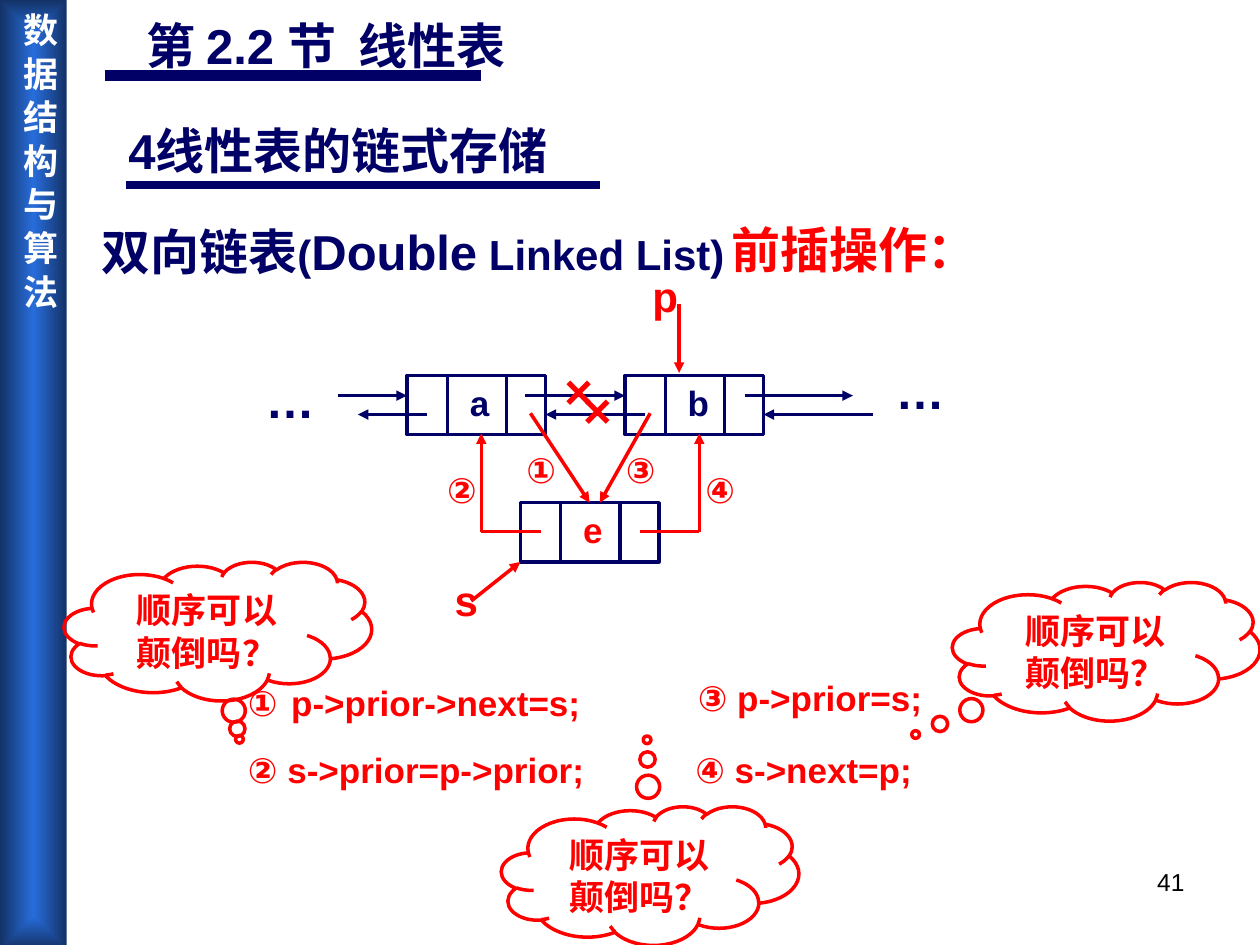
import pptx
import pptx.dml.color
import pptx.enum.shapes
import pptx.enum.text
import pptx.oxml
import pptx.oxml.ns
import pptx.util
from pptx.util import Inches

COLORS = {"navy": "000066", "red": "FF0000", "white": "FFFFFF", "black": "000000",
          "bar": "286DDC", "bar_edge": "133266"}
LATIN, ASIAN = "Arial", "Noto Sans CJK SC"
ALIGN = pptx.enum.text.PP_ALIGN
SHAPES = pptx.enum.shapes.MSO_SHAPE
NODE_WIDTH, NODE_HEIGHT = 1.1, 0.47


def rgb(name):
    """Return the named palette colour."""
    return pptx.dml.color.RGBColor.from_string(COLORS[name])


def element(xml):
    """Parse a DrawingML fragment whose root declares the a namespace."""
    head, rest = xml.split("|", 1)
    return pptx.oxml.parse_xml(f"<{head} {pptx.oxml.ns.nsdecls('a')}{rest}")


def write(shape, paragraphs, align=ALIGN.LEFT, wrap=True, font=LATIN):
    """Fill a shape with paragraphs made of (text, size, colour, bold) runs."""
    frame = shape.text_frame
    frame.word_wrap = wrap
    frame.auto_size = pptx.enum.text.MSO_AUTO_SIZE.NONE
    frame.vertical_anchor = pptx.enum.text.MSO_ANCHOR.TOP
    for index, spans in enumerate(paragraphs):
        para = frame.add_paragraph() if index else frame.paragraphs[0]
        para.alignment = align
        for text, size, color, bold in spans:
            span = para.add_run()
            span.text = text
            span.font.name = font
            span.font.size = pptx.util.Pt(size)
            span.font.bold = bold
            span.font.color.rgb = rgb(color)
            span.font._element.get_or_add_latin().addnext(
                element(f'a:ea| typeface="{ASIAN}"/>'))


def add_text(page, box, spans, align=ALIGN.LEFT, wrap=False):
    """Add a one-paragraph text box."""
    shape = page.shapes.add_textbox(*map(Inches, box))
    write(shape, [spans], align, wrap)


def add_label(page, box, text, size=20, color="red"):
    """Add a bold label in a single style."""
    add_text(page, box, [(text, size, color, True)])


def add_line(page, start, end, color="navy", width=2, arrow=False):
    """Add a straight line, optionally with an arrowhead at its end."""
    line = page.shapes.add_connector(
        pptx.enum.shapes.MSO_CONNECTOR.STRAIGHT, *map(Inches, (*start, *end)))
    line.line.color.rgb = rgb(color)
    line.line.width = pptx.util.Pt(width)
    if arrow:
        line.line._get_or_add_ln().append(element('a:tailEnd| type="triangle"/>'))
    line._element.spPr.append(element("a:effectLst|/>"))
    return line


def add_outline(page, kind, box, color):
    """Add an unfilled preset shape with a coloured outline."""
    shape = page.shapes.add_shape(kind, *map(Inches, box))
    shape.shadow.inherit = False
    shape.fill.background()
    shape.line.color.rgb = rgb(color)
    shape.line.width = pptx.util.Pt(2)
    return shape


def add_sidebar(page, box):
    """Add the gradient bar with the vertical course name."""
    bar = page.shapes.add_shape(SHAPES.RECTANGLE, *map(Inches, box))
    bar.shadow.inherit = False
    bar.line.fill.background()
    bar.fill.gradient()
    gradient = bar._element.spPr.find(pptx.oxml.ns.qn("a:gradFill"))
    gradient.getparent().replace(gradient, element(
        'a:gradFill| rotWithShape="1"><a:gsLst>'
        f'<a:gs pos="0"><a:srgbClr val="{COLORS["bar"]}"/></a:gs>'
        f'<a:gs pos="100000"><a:srgbClr val="{COLORS["bar_edge"]}"/></a:gs></a:gsLst>'
        '<a:path path="rect"><a:fillToRect l="50000" t="50000" r="50000" b="50000"/>'
        "</a:path></a:gradFill>"))
    write(bar, [[("数 据 结 构 与 算 法", 20, "white", True)]], ALIGN.CENTER, font=ASIAN)
    frame = bar.text_frame
    frame.margin_left = frame.margin_right = Inches(0.05)
    frame.margin_top = frame.margin_bottom = Inches(0.1)
    frame._txBody.bodyPr.set("vert", "eaVert")


def add_headings(page):
    """Place the title, the section heading and the topic line."""
    title = page.shapes.title
    title.left, title.top, title.width, title.height = map(Inches, (1.06, 0.07, 4.93, 0.57))
    write(title, [[("第 2.2 节  线性表", 28, "navy", True)]])
    add_line(page, (0.83, 0.6), (3.82, 0.6), width=6)
    add_label(page, (0.92, 0.91, 4.08, 0.57), "4线性表的链式存储", 28, "navy")
    add_line(page, (1, 1.47), (4.76, 1.47), width=4.25)
    topic = [("双向链表", 28), ("(", 24), ("Double", 28), (" Linked List)", 24)]
    add_text(page, (0.71, 1.71, 5.33, 0.57),
             [(text, size, "navy", True) for text, size in topic])
    add_text(page, (5.71, 1.69, 2.52, 0.57), [("前插操作：", 28, "red", True)], wrap=True)


def add_node(page, left, top, name, color="navy"):
    """Draw a three-cell list node and return its frame."""
    frame = add_outline(page, SHAPES.RECTANGLE, (left, top, NODE_WIDTH, NODE_HEIGHT), "navy")
    for offset in (0.32, 0.79):
        add_line(page, (left + offset, top), (left + offset, top + NODE_HEIGHT))
    add_label(page, (left + 0.4, top, 0.35, 0.44), name, color=color)
    return frame


def add_list_diagram(page):
    """Draw the list, the new node and the numbered relinking steps."""
    add_node(page, 3.23, 2.98, "a")
    add_node(page, 4.96, 2.98, "b")
    new_node = add_node(page, 4.13, 3.99, "e", "red")
    for y, spans in ((3.14, ((2.68, 3.23), (4.17, 4.96), (5.91, 6.77))),
                     (3.29, ((3.39, 2.84), (5.12, 4.33), (6.93, 6.06)))):
        for start, end in spans:
            add_line(page, (start, y), (end, y), arrow=True)
    for left, top in ((2.01, 2.88), (7.01, 2.81)):
        add_label(page, (left, top, 0.59, 0.57), "…", 28, "navy")
    for left, top in ((4.38, 2.81), (4.53, 2.96)):
        add_label(page, (left, top, 0.42, 0.57), "×", 28)

    add_label(page, (3.51, 4.51, 0.38, 0.5), "s", 24)
    add_label(page, (5.08, 2.1, 0.4, 0.5), "p", 24)
    for start, end in (((3.74, 4.77), (4.13, 4.46)), ((5.39, 2.41), (5.39, 2.96)),
                       ((5.16, 3.28), (4.76, 3.99))):
        add_line(page, start, end, "red", arrow=True)
    next_link = add_line(page, (4.21, 3.28), (4.68, 3.99), "red", arrow=True)
    next_link.end_connect(new_node, 0)
    for outer, left, right in ((3.82, 3.82, 4.29), (5.55, 5.08, 5.55)):
        add_line(page, (left, 4.22), (right, 4.22), "red")
        add_line(page, (outer, 4.22), (outer, 3.44), "red", arrow=True)
    for number, left, top in (("①", 4.08, 3.51), ("②", 3.45, 3.67),
                              ("③", 4.87, 3.51), ("④", 5.5, 3.67)):
        add_label(page, (left, top, 0.43, 0.44), number)


def add_statements(page):
    """Write the four pointer assignments."""
    add_text(page, (1.87, 5.25, 2.84, 0.57),
             [("①", 20, "red", True), (" ", 28, "navy", True),
              ("p->prior->next=s;", 20, "red", True)])
    for text, left, top, width in (("② s->prior=p->prior;", 1.87, 5.89, 2.87),
                                   ("③ p->prior=s;", 5.44, 5.32, 1.98),
                                   ("④ s->next=p;", 5.42, 5.89, 1.92)):
        add_label(page, (left, top, width, 0.44), text)


def add_question(page, box, pointer):
    """Add a thought cloud asking whether the order can be swapped."""
    cloud = add_outline(page, SHAPES.CLOUD_CALLOUT, box, "red")
    for index, value in enumerate(pointer):
        cloud.adjustments[index] = value
    write(cloud, [[(text, 20, "red", True)] for text in ("顺序可以", "颠倒吗？")], ALIGN.CENTER)


def main():
    """Build and save the deck."""
    deck = pptx.Presentation()
    deck.slide_width, deck.slide_height = Inches(10), Inches(7.5)
    page = deck.slides.add_slide(deck.slide_layouts[5])
    add_sidebar(page, (0, 0, 0.53, 7.53))
    add_headings(page)
    add_list_diagram(page)
    add_statements(page)
    for box, pointer in (((0.51, 4.46, 2.44, 1.1), (0.07, 0.78)),
                         ((7.56, 4.62, 2.44, 1.1), (-0.62, 0.6)),
                         ((3.98, 6.4, 2.36, 1.1), (-0.01, -0.98))):
        add_question(page, box, pointer)
    add_text(page, (7.17, 6.83, 2.33, 0.52), [("41", 14, "black", False)], ALIGN.RIGHT, True)
    deck.save("out.pptx")


if __name__ == "__main__":
    main()
